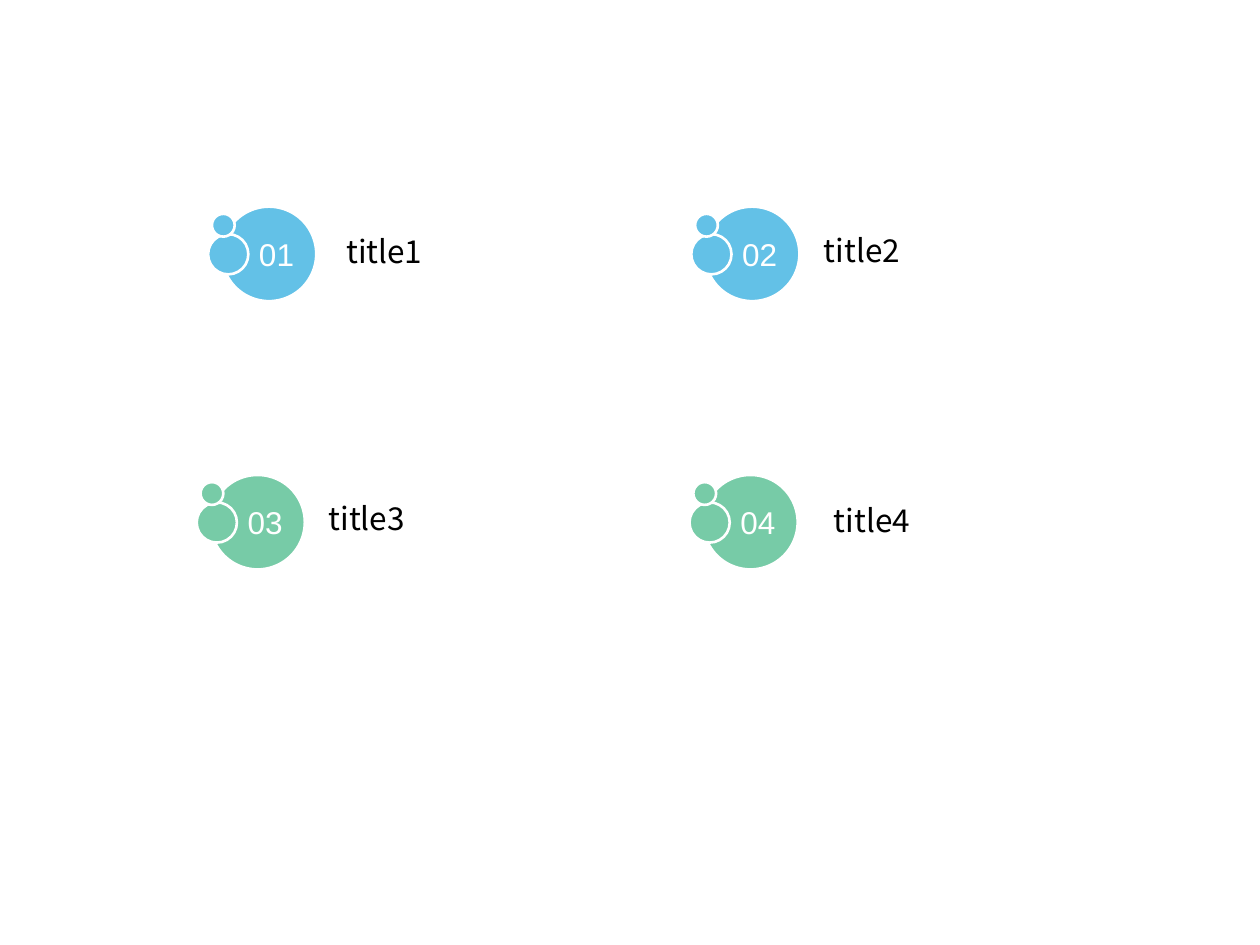
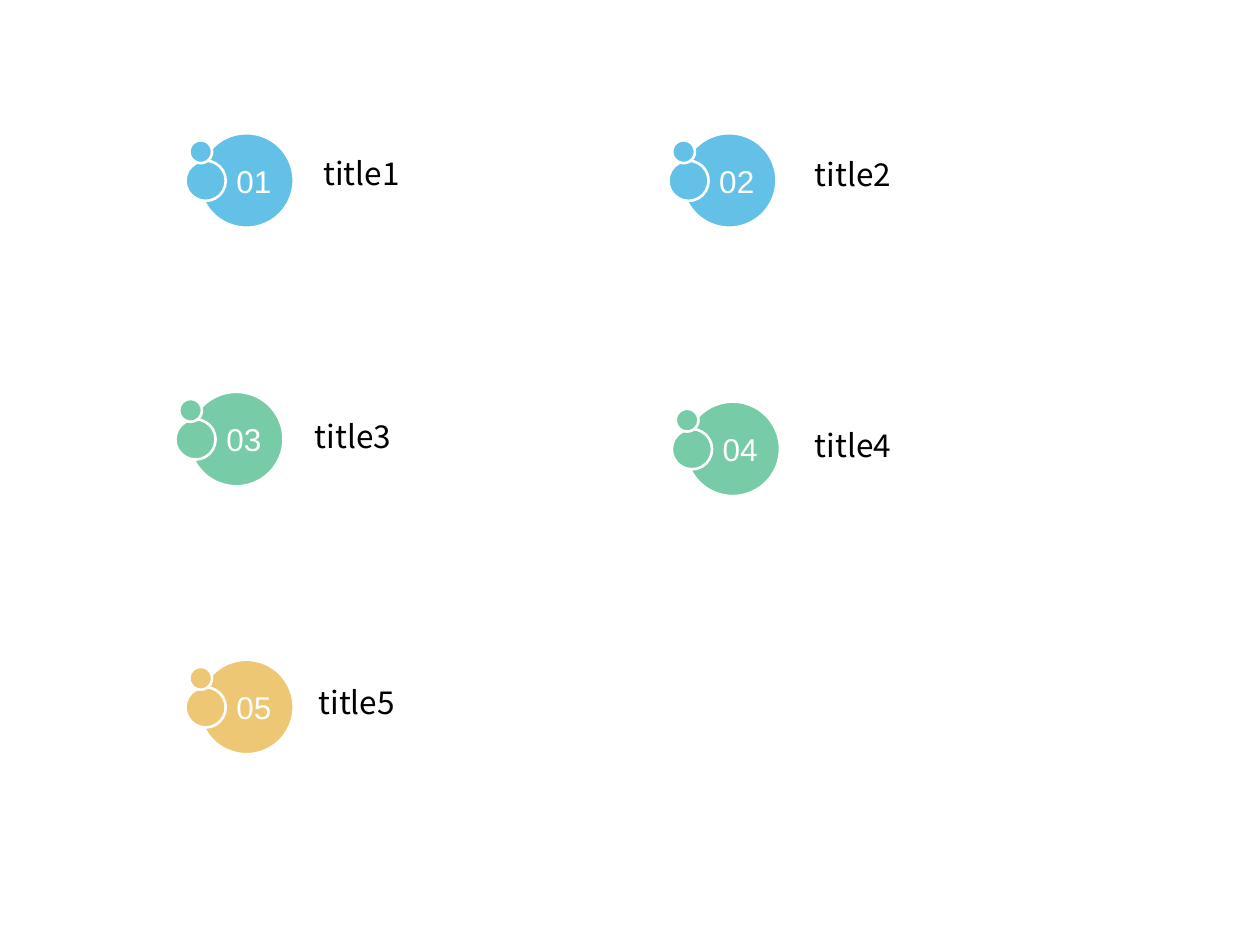
from pptx import Presentation
from pptx.dml.color import RGBColor
from pptx.enum import shapes, text
from pptx.util import Pt

BLUE, GREEN, AMBER = "63C1E7", "77CBA7", "EDC773"
WHITE, BLACK = "FFFFFF", "000000"

# Left offset, top offset and diameter of each circle in a badge, back to front
BADGE_CIRCLES = [(0, 0, 54), (-7.8, 15.7, 23), (-5.6, 4.1, 13)]

# For each item: colour, badge position, heading left, top, width, height
AGENDAS = [
    [
        (BLUE, (126.7, 118.1), (190.8, 128.9, 196.6, 141.8)),
        (BLUE, (402.8, 118.1), (463.7, 128.2, 196.6, 136.1)),
        (GREEN, (120.2, 271.4), (180.7, 281.5, 196.6, 158.4)),
        (GREEN, (401.8, 271.4), (469.4, 283, 196.6, 147.6)),
    ],
    [
        (BLUE, (113.8, 76.1), (177.8, 84.2, 196.6, 109.4)),
        (BLUE, (389.7, 76.1), (458.6, 85, 229.7, 108.7)),
        (GREEN, (108, 223.9), (172.8, 234.7, 196.6, 136.1)),
        (GREEN, (391.7, 229.5), (458.6, 239.8, 196.6, 136.1)),
        (AMBER, (113.8, 377), (175, 386.6, 196.6, 136.1)),
    ],
]


def rgb(hex_string):
    return RGBColor.from_string(hex_string)


def write(frame, words, font_name, color):
    frame.word_wrap = True
    frame.text = words
    font = frame.paragraphs[0].runs[0].font
    font.name = font_name
    font.size = Pt(18)
    font.color.rgb = rgb(color)


prs = Presentation()
prs.slide_width, prs.slide_height = Pt(720), Pt(540)
blank_layout = prs.slide_layouts[6]

for agenda in AGENDAS:
    slide = prs.slides.add_slide(blank_layout)
    for number, (color, (left, top), heading_box) in enumerate(agenda, start=1):
        circles = []
        for dx, dy, diameter in BADGE_CIRCLES:
            circle = slide.shapes.add_shape(
                shapes.MSO_SHAPE.OVAL,
                Pt(left + dx), Pt(top + dy), Pt(diameter), Pt(diameter))
            circle.shadow.inherit = False
            circle.fill.solid()
            circle.fill.fore_color.rgb = rgb(color)
            circle.line.color.rgb = rgb(WHITE)
            circle.line.width = Pt(1.5)
            circles.append(circle)

        number_frame = circles[0].text_frame
        write(number_frame, f"{number:02}", "Arial", WHITE)
        number_frame.margin_left = Pt(8.6)
        number_frame.margin_top = number_frame.margin_right = number_frame.margin_bottom = 0
        number_frame.vertical_anchor = text.MSO_ANCHOR.MIDDLE
        number_frame.paragraphs[0].alignment = text.PP_ALIGN.CENTER

        heading = slide.shapes.add_textbox(*map(Pt, heading_box))
        write(heading.text_frame, f"title{number}", "Noto Sans CJK SC", BLACK)

prs.save("out.pptx")
